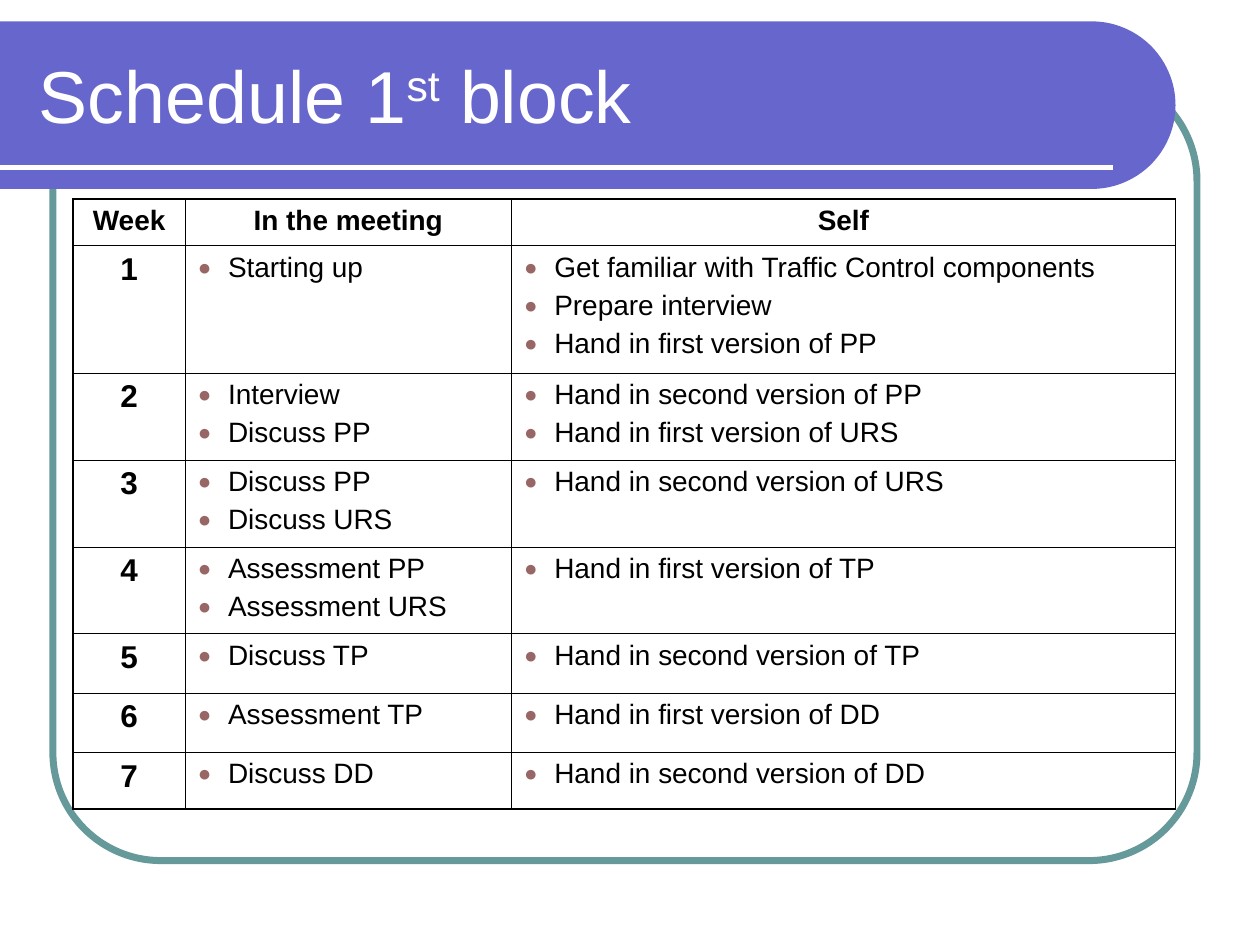
from math import cos, pi, sin

from pptx import Presentation
from pptx.dml.color import RGBColor
from pptx.enum.shapes import MSO_CONNECTOR, MSO_SHAPE
from pptx.enum.text import MSO_ANCHOR, PP_ALIGN
from pptx.oxml import parse_xml
from pptx.oxml.ns import nsdecls
from pptx.util import Inches, Pt

WHITE = RGBColor(0xFF, 0xFF, 0xFF)
BLACK = RGBColor(0x00, 0x00, 0x00)
VIOLET = RGBColor(0x66, 0x66, 0xCC)
TEAL = RGBColor(0x66, 0x99, 0x99)
BULLET = RGBColor(0x99, 0x66, 0x66)

FONT = "Arial"
THIN, THICK = Pt(0.45), Pt(1.08)
HEADINGS = ["Week", "In the meeting", "Self"]
WEEKS = [
    (["Starting up"],
     ["Get familiar with Traffic Control components", "Prepare interview",
      "Hand in first version of PP"]),
    (["Interview", "Discuss PP"],
     ["Hand in second version of PP", "Hand in first version of URS"]),
    (["Discuss PP", "Discuss URS"], ["Hand in second version of URS"]),
    (["Assessment PP", "Assessment URS"], ["Hand in first version of TP"]),
    (["Discuss TP"], ["Hand in second version of TP"]),
    (["Assessment TP"], ["Hand in first version of DD"]),
    (["Discuss DD"], ["Hand in second version of DD"]),
]
COLUMN_WIDTHS = [0.89, 2.59, 5.27]
ROW_HEIGHTS = [0.37, 1.01, 0.69, 0.69, 0.69, 0.47, 0.47, 0.45]


def add_text(para, text, size=16, color=BLACK, bold=False, align=None,
             bullet=False, before=0, raised=False):
    """Add one formatted span to a paragraph."""
    if bullet:
        props = para._p.get_or_add_pPr()
        props.set("marL", str(Inches(0.24)))
        props.set("indent", str(Inches(-0.24)))
        for element in (f'<a:buClr {nsdecls("a")}><a:srgbClr val="{BULLET}"/></a:buClr>',
                        f'<a:buSzPct {nsdecls("a")} val="80000"/>',
                        f'<a:buFont {nsdecls("a")} typeface="{FONT}"/>',
                        f'<a:buChar {nsdecls("a")} char="●"/>'):
            props.append(parse_xml(element))
    if align is not None:
        para.alignment = align
    if before:
        para.space_before = Pt(before)
    span = para.add_run()
    span.text = text
    span.font.name = FONT
    span.font.size = Pt(size)
    span.font.bold = bold
    span.font.color.rgb = color
    if raised:
        span._r.get_or_add_rPr().set("baseline", "30000")


def add_frame(page, left, top, width, height):
    """Rounded outline behind the table."""
    frame = page.shapes.add_shape(MSO_SHAPE.ROUNDED_RECTANGLE, left, top, width, height)
    frame.adjustments[0] = 0.137
    frame.shadow.inherit = False
    frame.fill.background()
    frame.line.color.rgb = TEAL
    frame.line.width = Pt(4)


def add_banner(page, left, top, width, height):
    """Title band with a half-round right end, a rule and the title."""
    radius = height / 2
    center_x, center_y = left + width - radius, top + radius
    steps = 60
    arc = [(center_x + radius * sin(pi * step / steps),
            center_y - radius * cos(pi * step / steps)) for step in range(steps + 1)]
    builder = page.shapes.build_freeform(left, top)
    builder.add_line_segments(arc + [(left, top + height)], close=True)
    band = builder.convert_to_shape()
    band.shadow.inherit = False
    band.fill.solid()
    band.fill.fore_color.rgb = VIOLET
    band.line.fill.background()

    rule_y = top + height - Inches(0.17)
    rule = page.shapes.add_connector(MSO_CONNECTOR.STRAIGHT, left, rule_y,
                                     left + width - Inches(0.5), rule_y)
    rule.line.color.rgb = WHITE
    rule.line.width = Pt(3)
    rule._element.spPr.append(parse_xml(f'<a:effectLst {nsdecls("a")}/>'))

    title = page.shapes.add_textbox(left + Inches(0.21), top + Inches(0.08),
                                    Inches(8.77), Inches(1))
    title.text_frame.word_wrap = True
    title.text_frame.vertical_anchor = MSO_ANCHOR.MIDDLE
    para = title.text_frame.paragraphs[0]
    for text, raised in (("Schedule 1", False), ("st", True), (" block", False)):
        add_text(para, text, size=42, color=WHITE, raised=raised)


def set_borders(cell, **widths):
    """Draw the cell's borders; keys are L, R, T and B."""
    props = cell._tc.get_or_add_tcPr()
    for side, width in widths.items():
        props.append(parse_xml(
            f'<a:ln{side} {nsdecls("a")} w="{width}"><a:solidFill>'
            f'<a:srgbClr val="{BLACK}"/></a:solidFill></a:ln{side}>'))


def add_schedule(page, left, top, width, height):
    """Table of weeks, with a thicker outer border."""
    last_row, last_column = len(ROW_HEIGHTS) - 1, len(COLUMN_WIDTHS) - 1
    table = page.shapes.add_table(last_row + 1, last_column + 1,
                                  left, top, width, height).table
    table.first_row = table.horz_banding = False
    for column, size in zip(table.columns, COLUMN_WIDTHS):
        column.width = Inches(size)
    for row, size in zip(table.rows, ROW_HEIGHTS):
        row.height = Inches(size)

    heading = dict(bold=True, align=PP_ALIGN.CENTER)
    rows = [[[text] for text in HEADINGS]]
    rows += [[[str(week)], meeting, own] for week, (meeting, own) in enumerate(WEEKS, 1)]
    for r, row in enumerate(rows):
        for c, lines in enumerate(row):
            cell = table.cell(r, c)
            set_borders(cell, L=THICK if c == 0 else THIN,
                        R=THICK if c == last_column else THIN,
                        T=THICK if r == 0 else THIN,
                        B=THICK if r == last_row else THIN)
            cell.fill.background()
            if r == 0:
                style = heading
            elif c == 0:
                style = dict(heading, size=18)
            else:
                style = dict(bullet=True)
            frame = cell.text_frame
            for index, line in enumerate(lines):
                para = frame.add_paragraph() if index else frame.paragraphs[0]
                add_text(para, line, before=4 if index else 0, **style)


def main():
    deck = Presentation()
    deck.slide_width, deck.slide_height = Inches(10), Inches(7.5)
    page = deck.slides.add_slide(deck.slide_layouts[6])
    add_frame(page, Inches(0.42), Inches(0.58), Inches(9.08), Inches(6.25))
    add_banner(page, Inches(0), Inches(0.17), Inches(9.33), Inches(1.33))
    add_schedule(page, Inches(0.58), Inches(1.58), Inches(8.75), Inches(4.84))
    deck.save("out.pptx")


if __name__ == "__main__":
    main()
